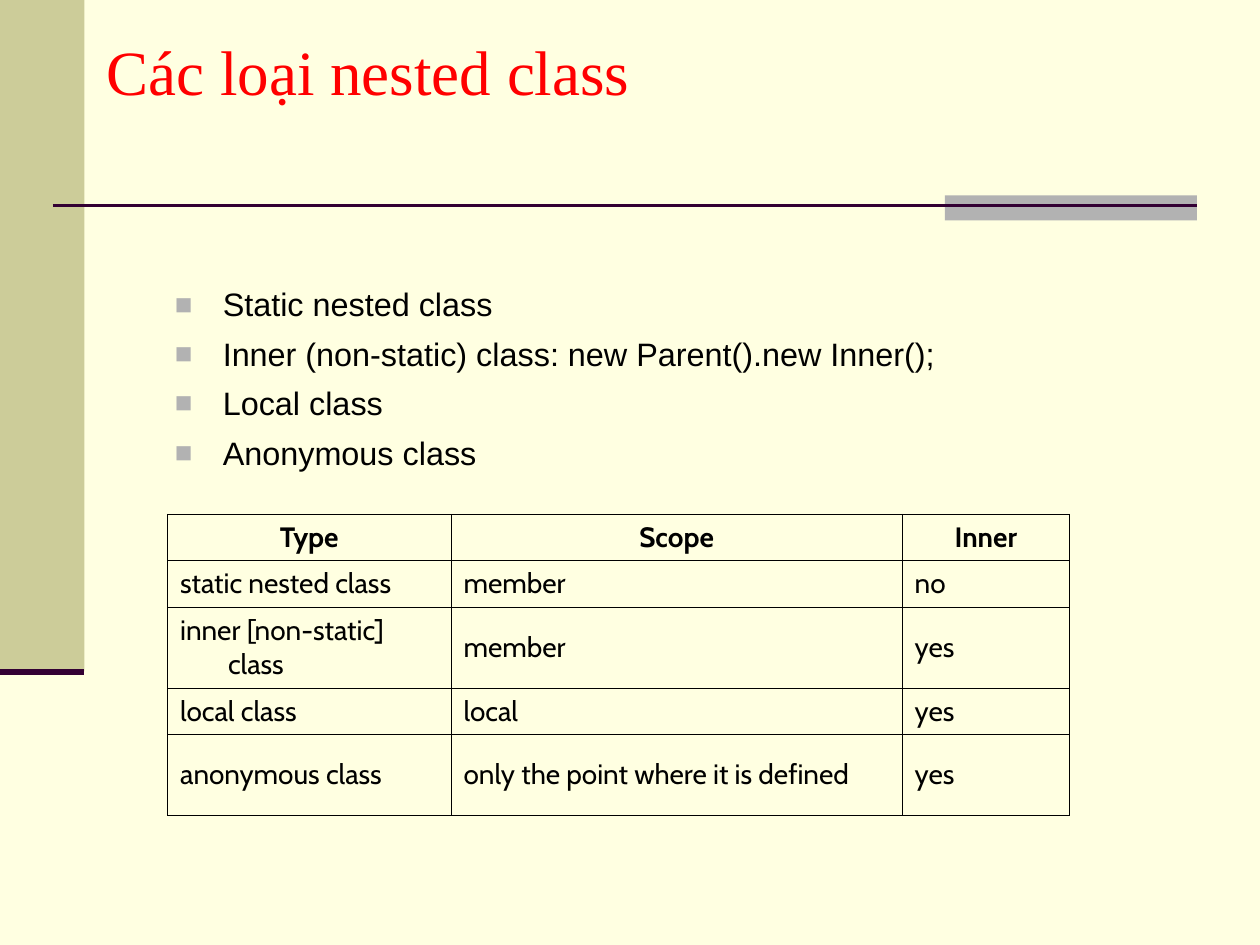
from pptx import Presentation
from pptx.dml.color import RGBColor
from pptx.enum.shapes import MSO_CONNECTOR, MSO_SHAPE
from pptx.enum.text import MSO_ANCHOR as Anchor, PP_ALIGN as Align
from pptx.oxml.ns import qn
from pptx.util import Inches, Pt
from lxml.etree import SubElement

COLORS = {
    "background": "FFFFE1", "sidebar": "CCCC99", "accent": "B2B2B2",
    "rule": "330033", "title": "FF0000", "text": "000000",
}
HANG = Inches(0.38)
BULLETS = [
    "Static nested class",
    "Inner (non-static) class: new Parent().new Inner();",
    "Local class",
    "Anonymous class",
]
TABLE_ROWS = [
    ("Type", "Scope", "Inner"),
    ("static nested class", "member", "no"),
    ("inner [non-static] class", "member", "yes"),
    ("local class", "local", "yes"),
    ("anonymous class", "only the point where it is defined", "yes"),
]
COLUMN_WIDTHS = [2.25, 3.58, 1.33]
ROW_HEIGHTS = [0.37, 0.37, 0.64, 0.37, 0.64]


def rgb(name):
    return RGBColor.from_string(COLORS[name])


def add_run(paragraph, text, font_name, size, color="text", bold=False):
    run = paragraph.add_run()
    run.text = text
    run.font.name = font_name
    run.font.size = Pt(size)
    run.font.bold = bold
    run.font.color.rgb = rgb(color)


def set_hanging_indent(paragraph):
    properties = paragraph._p.get_or_add_pPr()
    properties.set("marL", str(HANG))
    properties.set("indent", str(-HANG))
    return properties


def add_block(slide, left, top, width, height, color):
    shape = slide.shapes.add_shape(MSO_SHAPE.RECTANGLE, left, top, width, height)
    shape.shadow.inherit = False
    shape.fill.solid()
    shape.fill.fore_color.rgb = rgb(color)
    shape.line.fill.background()


def add_rule(slide, left, right, y, weight):
    line = slide.shapes.add_connector(MSO_CONNECTOR.STRAIGHT, left, y, right, y)
    line.line.color.rgb = rgb("rule")
    line.line.width = Pt(weight)
    SubElement(line._element.spPr, qn("a:effectLst"))


def add_text_frame(slide, left, top, width, height, anchor):
    frame = slide.shapes.add_textbox(left, top, width, height).text_frame
    frame.word_wrap = True
    frame.vertical_anchor = anchor
    return frame


def add_sidebar(slide, left, top, width, height):
    add_block(slide, left, top, width, height, "sidebar")
    add_rule(slide, left, left + width, top + height, 3.5)


def add_divider(slide, left, top, width, height):
    # Grey tab at the right end, with the rule running over it
    tab_width = Inches(2)
    add_block(slide, left + width - tab_width, top, tab_width, height, "accent")
    add_rule(slide, left, left + width, top + Inches(0.08), 1.5)


def add_title(slide, left, top, width, height):
    frame = add_text_frame(slide, left, top, width, height, Anchor.MIDDLE)
    add_run(frame.paragraphs[0], "Các loại nested class", "Times New Roman", 36, "title")


def add_bullets(slide, left, top, width, height):
    frame = add_text_frame(slide, left, top, width, height, Anchor.TOP)
    for index, text in enumerate(BULLETS):
        paragraph = frame.add_paragraph() if index else frame.paragraphs[0]
        if index:
            paragraph.space_before = Pt(6)
        properties = set_hanging_indent(paragraph)
        bullet_color = SubElement(properties, qn("a:buClr"))
        SubElement(bullet_color, qn("a:srgbClr"), val=COLORS["accent"])
        SubElement(properties, qn("a:buSzPct"), val="90000")
        SubElement(properties, qn("a:buFont"), typeface="Arial")
        SubElement(properties, qn("a:buChar"), char="■")
        add_run(paragraph, text, "Arial", 18.5)


def add_cell_borders(cell):
    properties = cell._tc.get_or_add_tcPr()
    for side in ("lnL", "lnR", "lnT", "lnB"):
        border = SubElement(properties, qn(f"a:{side}"), w=str(Pt(0.34)))
        fill = SubElement(border, qn("a:solidFill"))
        SubElement(fill, qn("a:srgbClr"), val=COLORS["text"])


def add_class_table(slide, left, top, width, height):
    table = slide.shapes.add_table(
        len(TABLE_ROWS), len(COLUMN_WIDTHS), left, top, width, height).table
    table.first_row = False
    table.horz_banding = False
    for column, column_width in zip(table.columns, COLUMN_WIDTHS):
        column.width = Inches(column_width)
    for row, row_height in zip(table.rows, ROW_HEIGHTS):
        row.height = Inches(row_height)

    for row_index, texts in enumerate(TABLE_ROWS):
        is_header = row_index == 0
        for column_index, text in enumerate(texts):
            cell = table.cell(row_index, column_index)
            cell.vertical_anchor = Anchor.MIDDLE
            add_cell_borders(cell)
            cell.fill.background()
            paragraph = cell.text_frame.paragraphs[0]
            paragraph.alignment = Align.CENTER if is_header else Align.LEFT
            set_hanging_indent(paragraph)
            add_run(paragraph, text, "Cabin", 16, bold=is_header)


def main():
    presentation = Presentation()
    presentation.slide_width = Inches(10)
    presentation.slide_height = Inches(7.5)
    slide = presentation.slides.add_slide(presentation.slide_layouts[6])
    slide.background.fill.solid()
    slide.background.fill.fore_color.rgb = rgb("background")

    # Frame
    add_sidebar(slide, Inches(0), Inches(0), Inches(0.67), Inches(5.33))
    add_divider(slide, Inches(0.42), Inches(1.55), Inches(9.08), Inches(0.2))

    # Content
    add_title(slide, Inches(0.75), Inches(0.17), Inches(9.25), Inches(0.77))
    add_bullets(slide, Inches(1.29), Inches(2.21), Inches(7.46), Inches(1.54))
    add_class_table(slide, Inches(1.33), Inches(4.08), Inches(7.17), Inches(2.49))

    presentation.save("out.pptx")


if __name__ == "__main__":
    main()
